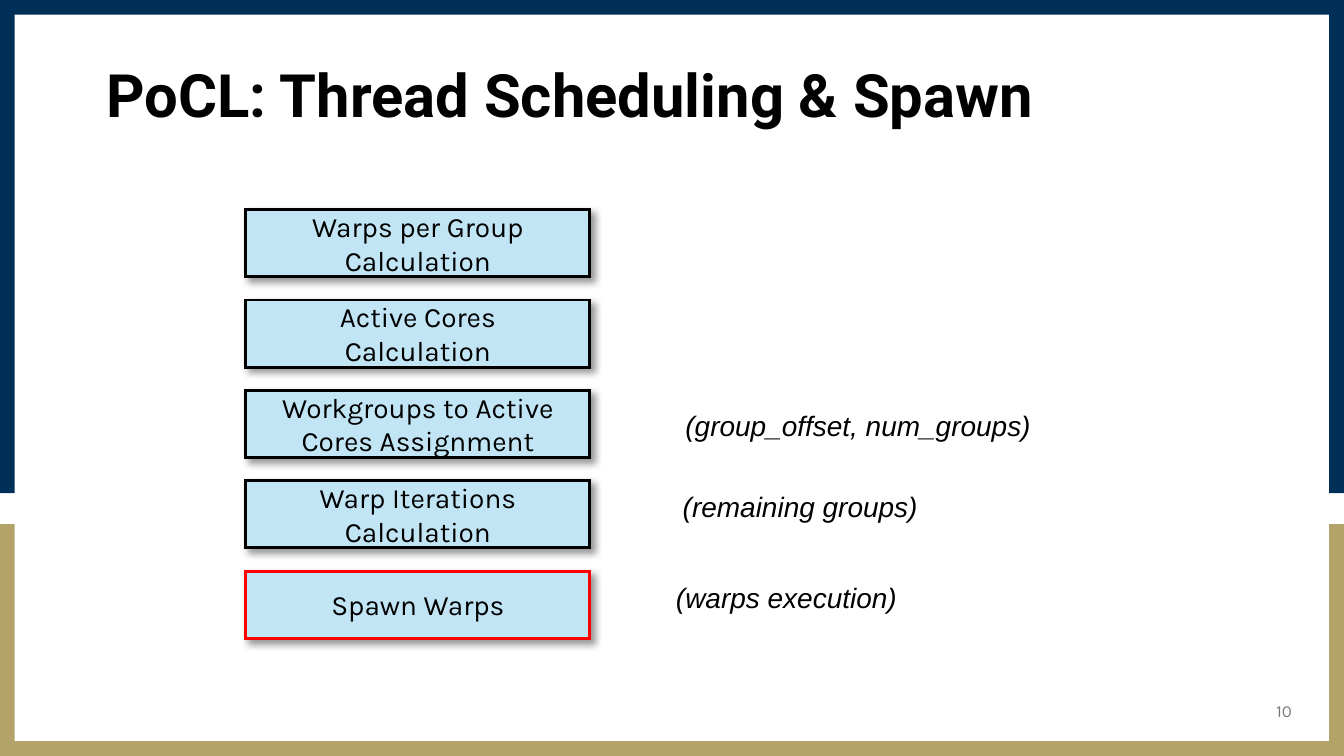
from lxml import etree
from pptx import Presentation
from pptx.dml.color import RGBColor
from pptx.enum.shapes import MSO_SHAPE
from pptx.enum.text import MSO_ANCHOR, MSO_AUTO_SIZE, PP_ALIGN
from pptx.oxml.ns import qn
from pptx.util import Inches, Pt

RECTANGLE = MSO_SHAPE.RECTANGLE
MIDDLE, TOP = MSO_ANCHOR.MIDDLE, MSO_ANCHOR.TOP
LEFT, CENTER, RIGHT = PP_ALIGN.LEFT, PP_ALIGN.CENTER, PP_ALIGN.RIGHT
NO_AUTOFIT = MSO_AUTO_SIZE.NONE

TITLE = "PoCL: Thread Scheduling & Spawn"
PAGE_NUMBER = "10"
STEPS = [
    (["Warps per Group", "Calculation"], "000000"),
    (["Active Cores", "Calculation"], "000000"),
    (["Workgroups to Active Cores Assignment"], "000000"),
    (["Warp Iterations Calculation"], "000000"),
    (["Spawn Warps"], "FF0000"),
]
NOTES = [
    ("(group_offset, num_groups)", 5.1, 3.04),
    ("(remaining groups)", 5.08, 3.64),
    ("(warps execution)", 5.03, 4.32),
]

WIDTH = 10
HEIGHT = WIDTH * 9 / 16
NAVY, GOLD, PALE_BLUE, BLACK, GRAY = "003057", "B3A369", "C1E5F5", "000000", "797979"
BAR = 0.11
NAVY_END, GOLD_START = 3.67, 3.9
STEP_LEFT, STEP_WIDTH, STEP_HEIGHT = 1.83, 2.56, 0.5
FIRST_STEP_TOP, LAST_STEP_TOP = 1.56, 4.25
STEP_PITCH = (LAST_STEP_TOP - FIRST_STEP_TOP) / (len(STEPS) - 1)


def color(value):
    return RGBColor.from_string(value)


def inches(*values):
    return [Inches(value) for value in values]


def write(shape, lines, size, font_name, font_color, align, anchor=MIDDLE,
          bold=False, italic=False):
    frame = shape.text_frame
    frame.word_wrap = True
    frame.auto_size = NO_AUTOFIT
    frame.vertical_anchor = anchor
    for index, line in enumerate(lines):
        paragraph = frame.add_paragraph() if index else frame.paragraphs[0]
        paragraph.alignment = align
        run = paragraph.add_run()
        run.text = line
        font = run.font
        font.size, font.name = Pt(size), font_name
        font.bold, font.italic = bold, italic
        font.color.rgb = color(font_color)


def add_rectangle(slide, box, fill, line=None):
    shape = slide.shapes.add_shape(RECTANGLE, *inches(*box))
    shape.shadow.inherit = False
    shape.fill.solid()
    shape.fill.fore_color.rgb = color(fill)
    if line:
        shape.line.color.rgb = color(line)
        shape.line.width = Pt(1.5)
        outline = shape._element.spPr.find(qn("a:ln"))
        etree.SubElement(outline, qn("a:miter"), lim="800000")
    else:
        shape.line.fill.background()
    return shape


def add_shadow(shape):
    effects = shape._element.spPr.find(qn("a:effectLst"))
    shadow = etree.SubElement(effects, qn("a:outerShdw"), blurRad=str(Pt(4)),
                              dist=str(Pt(3)), dir=str(45 * 60000),
                              algn="tl", rotWithShape="0")
    shade = etree.SubElement(shadow, qn("a:srgbClr"), val=BLACK)
    etree.SubElement(shade, qn("a:alpha"), val="40000")


def add_frame(slide):
    for left in (WIDTH - BAR, 0):
        add_rectangle(slide, (left, 0, BAR, NAVY_END), NAVY)
        add_rectangle(slide, (left, GOLD_START, BAR, HEIGHT - GOLD_START), GOLD)
    add_rectangle(slide, (0, 0, WIDTH, BAR), NAVY)
    add_rectangle(slide, (0, HEIGHT - BAR, WIDTH, BAR), GOLD)


def add_title(slide):
    title = slide.shapes.title
    title.left, title.top, title.width, title.height = inches(0.69, 0.3, 8.62, 0.86)
    write(title, [TITLE], 32, "Roboto", BLACK, LEFT, bold=True)
    title.text_frame.paragraphs[0].line_spacing = 0.9


def add_steps(slide):
    for row, (lines, outline) in enumerate(STEPS):
        top = FIRST_STEP_TOP + row * STEP_PITCH
        shape = add_rectangle(slide, (STEP_LEFT, top, STEP_WIDTH, STEP_HEIGHT),
                              PALE_BLUE, outline)
        add_shadow(shape)
        write(shape, lines, 15, "Karla", BLACK, CENTER)


def add_notes(slide):
    for text, left, top in NOTES:
        box = slide.shapes.add_textbox(*inches(left, top, 3.2, 0.25))
        frame = box.text_frame
        frame.margin_left = frame.margin_right = 0
        frame.margin_top = frame.margin_bottom = 0
        write(box, [text], 15, "Arial", BLACK, LEFT, TOP, italic=True)


def main():
    presentation = Presentation()
    presentation.slide_width, presentation.slide_height = inches(WIDTH, HEIGHT)
    slide = presentation.slides.add_slide(presentation.slide_layouts.get_by_name("Title Only"))
    add_frame(slide)
    add_title(slide)
    number = slide.shapes.add_textbox(*inches(7.46, 5.14, 2.25, 0.3))
    write(number, [PAGE_NUMBER], 9, "Karla", GRAY, RIGHT)
    add_steps(slide)
    add_notes(slide)
    presentation.save("out.pptx")


if __name__ == "__main__":
    main()
